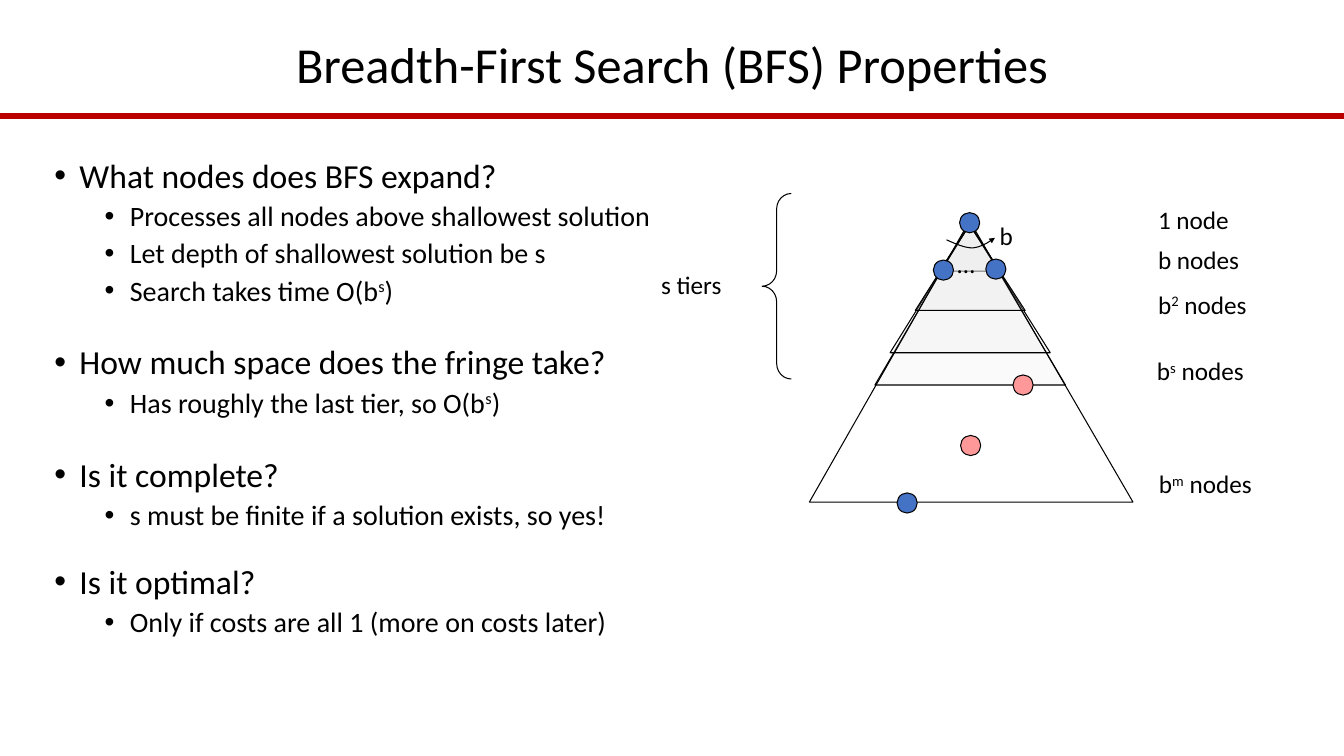
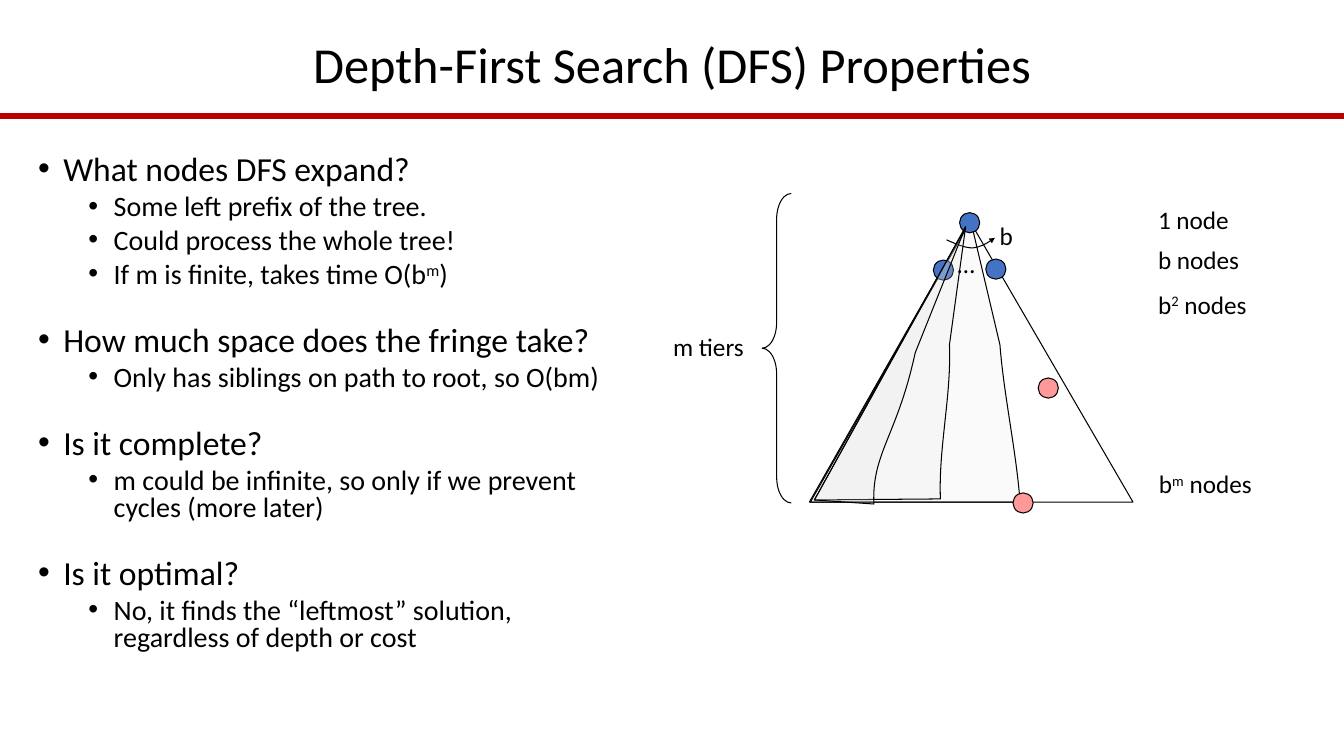
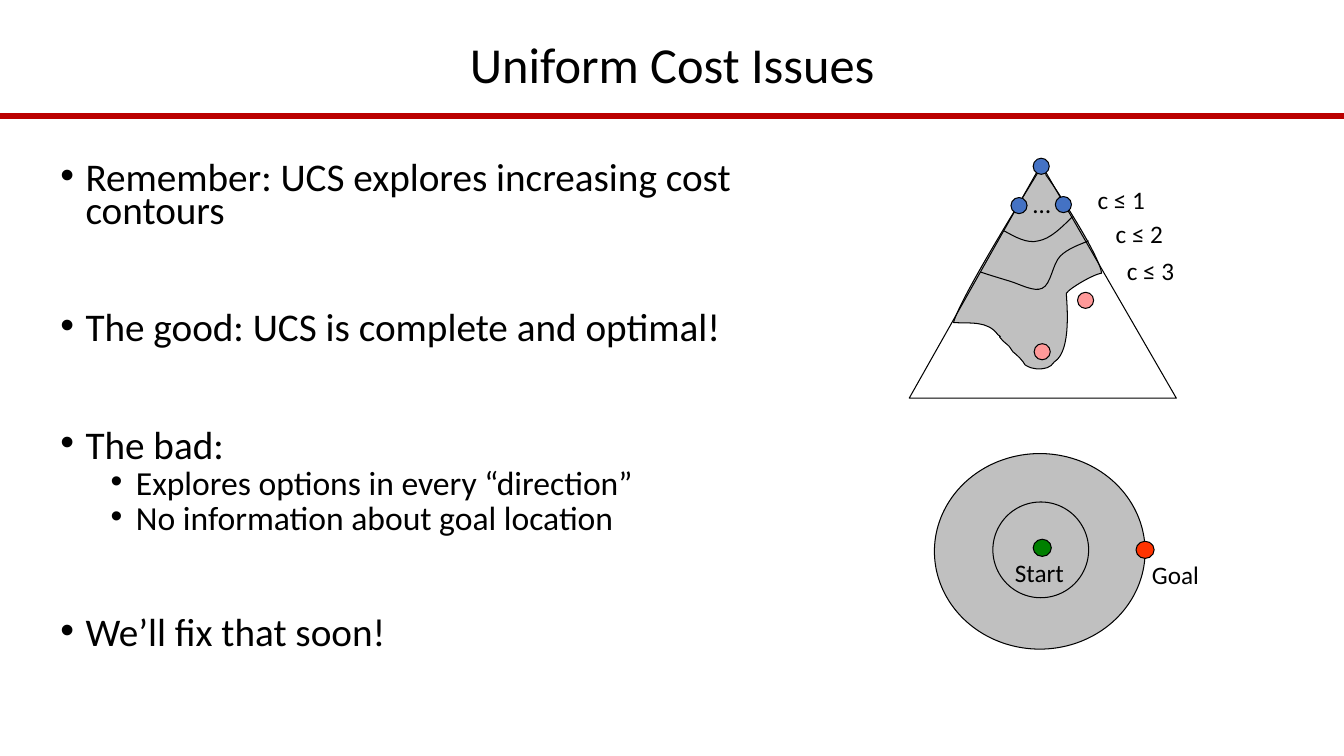
import dataclasses
import typing

import lxml.etree
import pptx
import pptx.dml.color
import pptx.enum.shapes
import pptx.enum.text
import pptx.oxml.ns
import pptx.util

Inches = pptx.util.Inches
Pt = pptx.util.Pt
Outline = list[tuple[float, ...]]


@dataclasses.dataclass(frozen=True)
class Theme:
    font: str = "Calibri"
    ink: str = "000000"
    rule: str = "BB0000"
    tier: str = "E7E6E6"
    node: str = "4472C4"
    solution: str = "FF9999"
    contour: str = "C0C0C0"
    start: str = "008000"
    goal: str = "FF3300"
    title_size: float = 36
    label_size: float = 18
    outline_width: float = 0.75
    rule_width: float = 4
    tier_opacity: int = 20


THEME = Theme()


@dataclasses.dataclass(frozen=True)
class Topic:
    question: str
    answers: tuple[str, ...] = ()
    space_before: float = 10


@dataclasses.dataclass(frozen=True)
class Body:
    box: tuple[float, float, float, float]
    topics: list[Topic]
    line_spacing: float
    question_size: float = 24
    answer_size: float = 20


@dataclasses.dataclass(frozen=True)
class Label:
    text: str
    left: float
    top: float
    width: float = 1.22


@dataclasses.dataclass(frozen=True)
class Dot:
    left: float
    top: float
    colour: str = THEME.node


@dataclasses.dataclass(frozen=True)
class Tree:
    outline: Outline
    dots: list[Dot]
    dot_size: float
    labels: list[Label]
    arcs: list[Outline]
    arrows: bool = False


def rgb(colour: str) -> pptx.dml.color.RGBColor:
    return pptx.dml.color.RGBColor.from_string(colour)


def add_child(parent, tag: str, **attributes: str):
    child = lxml.etree.SubElement(parent, pptx.oxml.ns.qn(tag))
    for key, value in attributes.items():
        child.set(key, value)
    return child


def write(paragraph, text: str, size: float) -> None:
    """Fill a paragraph; text between two ^ marks is superscript."""
    first, *others = text.split("^")
    paragraph.text = first
    for part in others:
        paragraph.add_run().text = part
    for index, run in enumerate(paragraph.runs):
        run.font.name = THEME.font
        run.font.size = Pt(size)
        run.font.color.rgb = rgb(THEME.ink)
        if index % 2:
            run._r.get_or_add_rPr().set("baseline", "30000")


def add_frame(slide, left: float, top: float, width: float, height: float):
    frame = slide.shapes.add_textbox(
        Inches(left), Inches(top), Inches(width), Inches(height)).text_frame
    frame.word_wrap = True
    return frame


def add_label(slide, label: Label) -> None:
    frame = add_frame(slide, label.left, label.top, label.width, 0.4)
    write(frame.paragraphs[0], label.text, THEME.label_size)


def style(shape, fill: typing.Optional[str] = None,
          opacity: typing.Optional[int] = None) -> None:
    shape.shadow.inherit = False
    if fill:
        shape.fill.solid()
        shape.fill.fore_color.rgb = rgb(fill)
    else:
        shape.fill.background()
    if opacity is not None:
        colour = shape._element.spPr.find(
            "/".join(map(pptx.oxml.ns.qn, ("a:solidFill", "a:srgbClr"))))
        add_child(colour, "a:alpha", val=str(opacity * 1000))
    shape.line.color.rgb = rgb(THEME.ink)
    shape.line.width = Pt(THEME.outline_width)


def add_ellipse(slide, left: float, top: float, width: float, height: float,
                fill: typing.Optional[str] = None) -> None:
    style(slide.shapes.add_shape(
        pptx.enum.shapes.MSO_SHAPE.OVAL, Inches(left), Inches(top),
        Inches(width), Inches(height)), fill)


def bend_segments(shape, segments: Outline) -> None:
    """Turn the straight segments that have control points into curves."""
    straights = list(shape._element.iter(pptx.oxml.ns.qn("a:lnTo")))
    for straight, segment in zip(straights, segments):
        if len(segment) == 2:
            continue
        curve = add_child(straight.getparent(), "a:cubicBezTo")
        for x, y in zip(segment[::2], segment[1::2]):
            add_child(curve, "a:pt", x=str(Inches(x) - shape.left),
                      y=str(Inches(y) - shape.top))
        straight.getparent().replace(straight, curve)


def add_outline(slide, outline: Outline, fill: typing.Optional[str] = None,
                opacity: typing.Optional[int] = None, closed: bool = True):
    """Draw points, and Bézier segments given as six numbers."""
    first, *others = [(Inches(x), Inches(y)) for *_, x, y in outline]
    builder = slide.shapes.build_freeform(*first)
    builder.add_line_segments(others, close=closed)
    shape = builder.convert_to_shape()
    bend_segments(shape, outline[1:])
    style(shape, fill, opacity)
    return shape


def add_shade(slide, outline: Outline) -> None:
    add_outline(slide, outline, THEME.tier, THEME.tier_opacity)


def add_tree(slide, tree: Tree) -> None:
    add_outline(slide, tree.outline)
    for dot in tree.dots:
        add_ellipse(slide, dot.left, dot.top, tree.dot_size, tree.dot_size,
                    dot.colour)
    for arc in tree.arcs:
        shape = add_outline(slide, arc, closed=False)
        if tree.arrows:
            line = shape._element.spPr.find(pptx.oxml.ns.qn("a:ln"))
            add_child(line, "a:tailEnd", type="triangle", w="sm", len="sm")
    for label in tree.labels:
        add_label(slide, label)


def add_depth(slide, height: float, curl: float, label: Label) -> None:
    """Add the brace that counts the tiers of a tree, and its label."""
    brace = slide.shapes.add_shape(
        pptx.enum.shapes.MSO_SHAPE.LEFT_BRACE, Inches(7.56), Inches(1.92),
        Inches(0.29), Inches(height))
    brace.adjustments[0] = curl
    style(brace)
    add_label(slide, label)


def add_body(slide, body: Body) -> None:
    frame = add_frame(slide, *body.box)
    lines = []
    for topic in body.topics:
        lines.append((topic.question, 0, body.question_size, topic.space_before))
        lines += [(answer, 1, body.answer_size, 5) for answer in topic.answers]
    for index, (text, level, size, space) in enumerate(lines):
        paragraph = frame.add_paragraph() if index else frame.paragraphs[0]
        write(paragraph, text, size)
        paragraph.level = level
        paragraph.line_spacing = body.line_spacing
        paragraph.space_before = Pt(space)
        properties = paragraph._p.get_or_add_pPr()
        properties.set("marL", str(Inches(0.25 + 0.5 * level)))
        properties.set("indent", str(Inches(-0.25)))
        add_child(properties, "a:buFont", typeface="Arial")
        add_child(properties, "a:buChar", char="•")


def add_slide(deck, title: str, body: Body):
    slide = deck.slides.add_slide(deck.slide_layouts[6])
    rule = slide.shapes.add_connector(
        pptx.enum.shapes.MSO_CONNECTOR.STRAIGHT,
        0, Inches(1.15), deck.slide_width, Inches(1.15))
    rule.line.color.rgb = rgb(THEME.rule)
    rule.line.width = Pt(THEME.rule_width)
    add_child(rule._element.spPr, "a:effectLst")
    heading = add_frame(slide, 0.92, 0.34, 11.5, 0.66)
    heading.vertical_anchor = pptx.enum.text.MSO_ANCHOR.MIDDLE
    write(heading.paragraphs[0], title, THEME.title_size)
    heading.paragraphs[0].alignment = pptx.enum.text.PP_ALIGN.CENTER
    heading.paragraphs[0].line_spacing = 0.9
    add_body(slide, body)
    return slide


SEARCH_TREE = Tree(
    outline=[(8.03, 4.98), (11.24, 4.98), (9.62, 2.19)],
    dots=[Dot(9.52, 2.11), Dot(9.26, 2.58), Dot(9.78, 2.57)],
    dot_size=0.2,
    labels=[
        Label("…", 9.4, 2.41, 0.3),
        Label("b", 9.82, 2.14, 0.33),
        Label("1 node", 11.39, 1.98),
        Label("b nodes", 11.39, 2.37),
        Label("b^2^ nodes", 11.39, 2.82),
        Label("b^m^ nodes", 11.4, 4.6, 1.6),
    ],
    arcs=[[(9.39, 2.38), (9.48, 2.42, 9.57, 2.46, 9.65, 2.46),
           (9.73, 2.45, 9.8, 2.41, 9.87, 2.36)]],
    arrows=True,
)


def with_dots(*extra: Dot) -> Tree:
    return dataclasses.replace(SEARCH_TREE, dots=[*SEARCH_TREE.dots, *extra])


def add_breadth_first(deck) -> None:
    slide = add_slide(deck, "Breadth-First Search (BFS) Properties", Body(
        (0.44, 1.53, 6.22, 5.17), [
            Topic("What nodes does BFS expand?", (
                "Processes all nodes above shallowest solution",
                "Let depth of shallowest solution be s",
                "Search takes time O(b^s^)")),
            Topic("How much space does the fringe take?",
                  ("Has roughly the last tier, so O(b^s^)",), 27.7),
            Topic("Is it complete?",
                  ("s must be finite if a solution exists, so yes!",), 27.7),
            Topic("Is it optimal?",
                  ("Only if costs are all 1 (more on costs later)",), 23.8),
        ], line_spacing=0.9))
    for top, left, right, bottom in ((2.23, 9.32, 9.92, 2.69),
                                     (2.21, 8.68, 10.57, 3.82),
                                     (2.23, 8.83, 10.42, 3.5),
                                     (2.23, 9.08, 10.17, 3.08)):
        add_shade(slide, [(9.62, top), (left, bottom), (right, bottom)])
    add_tree(slide, with_dots(Dot(8.9, 4.89), Dot(10.05, 3.72, THEME.solution),
                              Dot(9.53, 4.32, THEME.solution)))
    add_label(slide, Label("b^s^ nodes", 11.38, 3.48, 1.6))
    add_depth(slide, 1.84, 0.53, Label("s tiers", 6.46, 2.62, 1.38))


def add_depth_first(deck) -> None:
    slide = add_slide(deck, "Depth-First Search (DFS) Properties", Body(
        (0.28, 1.5, 5.97, 5.17), [
            Topic("What nodes DFS expand?", (
                "Some left prefix of the tree.",
                "Could process the whole tree!",
                "If m is finite, takes time O(b^m^)")),
            Topic("How much space does the fringe take?",
                  ("Only has siblings on path to root, so O(bm)",), 26.3),
            Topic("Is it complete?", (
                "m could be infinite, so only if we prevent cycles (more later)",
            ), 26.3),
            Topic("Is it optimal?", (
                "No, it finds the “leftmost” solution, regardless of depth or cost",
            ), 26.3),
        ], line_spacing=0.8))
    add_shade(slide, [(8.04, 4.98), (10.12, 4.98),
                      (10.08, 4.46, 9.96, 3.93, 9.92, 3.42), (9.63, 2.19)])
    add_tree(slide, with_dots(Dot(10.05, 4.89, THEME.solution),
                              Dot(10.3, 3.75, THEME.solution)))
    add_depth(slide, 3.07, 0.88, Label("m tiers", 6.58, 3.24, 1.38))
    for corner, bend in (
            ((9.33, 4.95), (9.31, 4.44, 9.44, 3.93, 9.42, 3.42)),
            ((8.67, 5), (8.65, 4.49, 8.9, 4.33, 9.08, 3.5))):
        add_shade(slide, [(8.08, 4.96), corner, bend, (9.58, 2.25)])


def add_uniform_cost(deck) -> None:
    slide = add_slide(deck, "Uniform Cost Issues", Body(
        (0.5, 1.59, 7.08, 4.95), [
            Topic("Remember: UCS explores increasing cost contours"),
            Topic("The good: UCS is complete and optimal!", (), 60.3),
            Topic("The bad:", ("Explores options in every “direction”",
                               "No information about goal location"), 60.3),
            Topic("We’ll fix that soon!", (), 60.3),
        ], line_spacing=0.7, question_size=28, answer_size=24))
    add_outline(slide, [
        (10.38, 1.74),
        (10.49, 1.89, 10.9, 2.52, 10.93, 2.71),
        (10.85, 2.72, 10.61, 2.86, 10.58, 2.91),
        (10.58, 2.98, 10.64, 3.48, 10.46, 3.59),
        (10.42, 3.65, 10.37, 3.66, 10.29, 3.66),
        (10.23, 3.65, 10.22, 3.65, 10.17, 3.62),
        (10.15, 3.58, 10.09, 3.52, 10.05, 3.49),
        (10, 3.42, 10.03, 3.45, 9.96, 3.39),
        (9.86, 3.29, 9.97, 3.37, 9.9, 3.32),
        (9.8, 3.18, 9.63, 3.21, 9.46, 3.2),
        (9.53, 2.95, 10.13, 1.99, 10.28, 1.74),
        (10.43, 1.5, 10.36, 1.74, 10.38, 1.74),
    ], THEME.contour)
    add_tree(slide, Tree(
        outline=[(9.02, 3.95), (11.67, 3.95), (10.33, 1.63)],
        dots=[Dot(10.03, 1.96), Dot(10.47, 1.95), Dot(10.25, 1.57),
              Dot(10.69, 2.9, THEME.solution), Dot(10.26, 3.41, THEME.solution)],
        dot_size=0.16,
        labels=[Label("…", 10.15, 1.82, 0.25),
                Label("c ≤ 1", 10.79, 1.78, 0.75),
                Label("c ≤ 2", 10.97, 2.12, 0.75),
                Label("c ≤ 3", 11.08, 2.48, 0.75)],
        arcs=[[(10.8, 2.39), (10.7, 2.43, 10.59, 2.47, 10.52, 2.54),
               (10.44, 2.62, 10.43, 2.82, 10.34, 2.86),
               (10.26, 2.9, 10.12, 2.82, 10.02, 2.79),
               (9.92, 2.76, 9.82, 2.73, 9.73, 2.7)],
              [(10.64, 2.15), (10.53, 2.26, 10.42, 2.37, 10.3, 2.39),
               (10.19, 2.42, 10.07, 2.35, 9.96, 2.29)]],
    ))
    add_ellipse(slide, 9.27, 4.5, 2.09, 1.94, THEME.contour)
    add_ellipse(slide, 9.85, 4.98, 0.95, 0.95)
    add_ellipse(slide, 10.25, 5.35, 0.18, 0.17, THEME.start)
    add_ellipse(slide, 11.27, 5.37, 0.18, 0.17, THEME.goal)
    add_label(slide, Label("Start", 9.97, 5.48, 1))
    add_label(slide, Label("Goal", 11.33, 5.5, 1))


def main() -> None:
    deck = pptx.Presentation()
    deck.slide_width = Inches(40 / 3)
    deck.slide_height = Inches(7.5)
    add_breadth_first(deck)
    add_depth_first(deck)
    add_uniform_cost(deck)
    deck.save("out.pptx")


if __name__ == "__main__":
    main()
